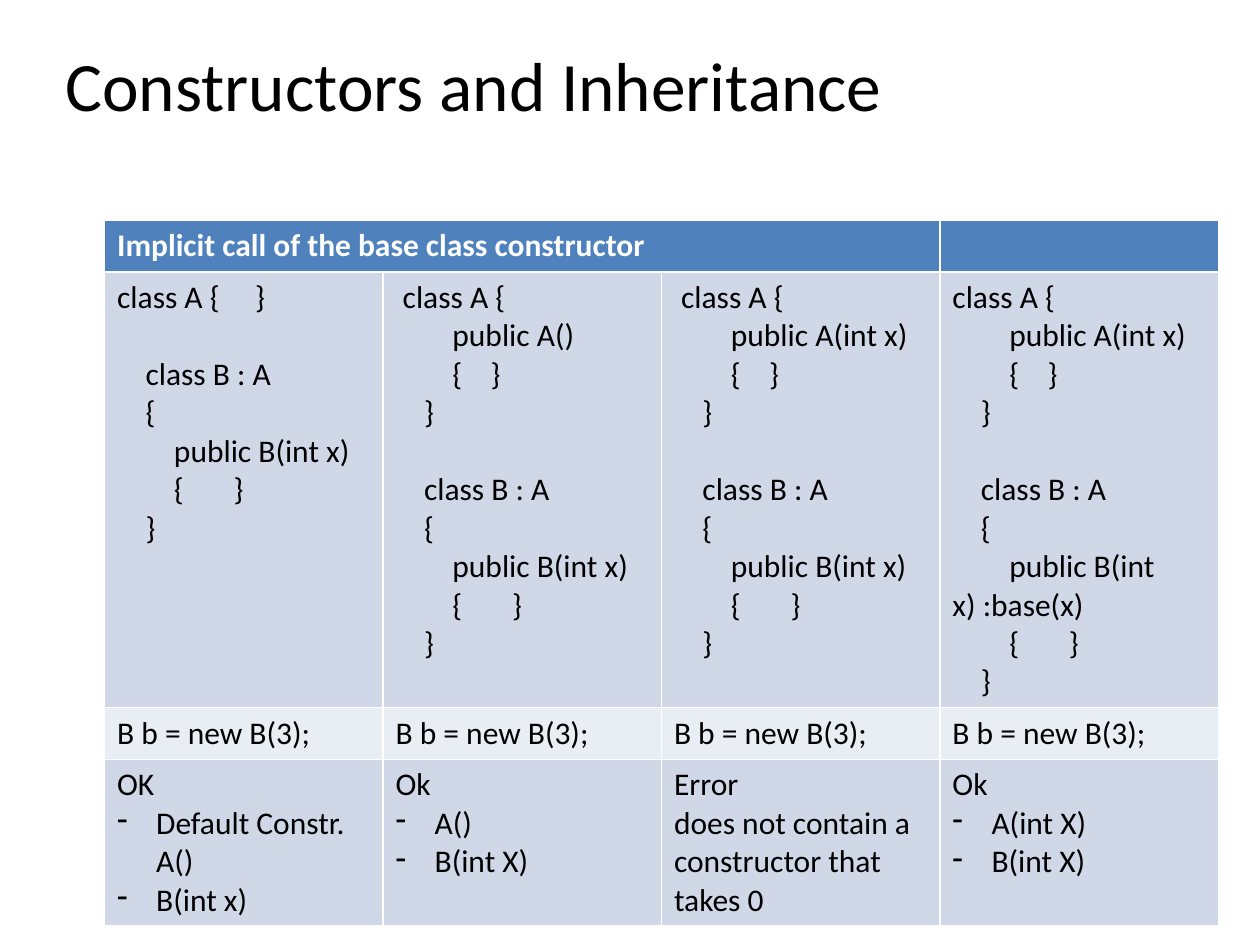
"""Build a slide comparing implicit base class constructor calls in a table."""
from lxml import etree
from pptx import Presentation
from pptx import util as u
from pptx.dml.color import RGBColor
from pptx.enum import text as t
from pptx.oxml.ns import qn

HUES = {"ink": "000000", "pale": "FFFFFF", "head": "4F81BD",
        "band": "D0D8E8", "light": "E9EDF4"}
FONT = "Calibri"
TITLE = "Constructors and Inheritance"
HEAD = "Implicit call of the base class constructor"
CALL = "B b = new B(3);"
SUB = "    class B : A"


def derive(base=""):
    return [SUB, "    {", f"        public B(int x){base}",
            "        {       }", "    }"]


def parent(first, args):
    return [first, f"        public A({args})", "        {    }", "    }"]


CODE = [["class A {     }"] + derive(),
        parent(" class A {", "") + derive(),
        parent(" class A {", "int x") + derive(),
        parent("class A {", "int x") + derive(" :base(x)")]
NOTES = [("OK", ["Default Constr. A()", "B(int x)"], True),
         ("Ok", ["A()", "B(int X)"], True),
         ("Error", ["does not contain a constructor that takes 0"], False),
         ("Ok", ["A(int X)", "B(int X)"], True)]
GRID = {"left": 0.83, "top": 1.75, "col": 2.21, "row": 0.41, "tall": 5.51}
STEP = 0.31


def write(par, words, size=18, hue="ink", bold=False, gap=0, dash=False):
    if dash:
        prop = par._p.get_or_add_pPr()
        prop.set("marL", str(u.Inches(STEP)))
        prop.set("indent", str(-u.Inches(STEP)))
        etree.SubElement(prop, qn("a:buFontTx"))
        etree.SubElement(prop, qn("a:buChar")).set("char", "-")
    if gap:
        par.space_before = u.Pt(gap)
    run = par.add_run()
    run.text = words
    run.font.name, run.font.size, run.font.bold = FONT, u.Pt(size), bold
    run.font.color.rgb = RGBColor.from_string(HUES[hue])


def fill(cell, lines, hue):
    cell.fill.solid()
    cell.fill.fore_color.rgb = RGBColor.from_string(HUES[hue])
    frame = cell.text_frame
    for i, (words, form) in enumerate(lines):
        par = frame.add_paragraph() if i else frame.paragraphs[0]
        write(par, words, **form)


def main():
    deck = Presentation()
    deck.slide_width, deck.slide_height = u.Inches(10), u.Inches(7.5)
    slide = deck.slides.add_slide(deck.slide_layouts[5])

    title = slide.shapes.title
    title.left, title.top = u.Inches(0.42), u.Inches(0.25)
    title.width, title.height = u.Inches(9.17), u.Inches(0.83)
    title.text_frame.vertical_anchor = t.MSO_ANCHOR.MIDDLE
    par = title.text_frame.paragraphs[0]
    par.alignment = t.PP_ALIGN.LEFT
    write(par, TITLE, size=39.6)

    head = [[(HEAD, {"hue": "pale", "bold": True})], [], [], []]
    code = [[(line, {"gap": 22 if line == SUB else 0}) for line in block]
            for block in CODE]
    calls = [[(CALL, {})] for _ in CODE]
    notes = [[(first, {})] + [(item, {"dash": dash}) for item in rest]
             for first, rest, dash in NOTES]
    rows = [(head, "head"), (code, "band"), (calls, "light"), (notes, "band")]

    frame = slide.shapes.add_table(
        len(rows), len(CODE), u.Inches(GRID["left"]), u.Inches(GRID["top"]),
        u.Inches(GRID["col"] * len(CODE)), u.Inches(GRID["tall"]))
    table = frame.table
    for col in table.columns:
        col.width = u.Inches(GRID["col"])
    for row, (cells, hue) in zip(table.rows, rows):
        row.height = u.Inches(GRID["row"])
        for cell, lines in zip(row.cells, cells):
            fill(cell, lines, hue)
    frame.height = u.Inches(GRID["tall"])
    table.cell(0, 0).merge(table.cell(0, 2))
    deck.save("out.pptx")


if __name__ == "__main__":
    main()
